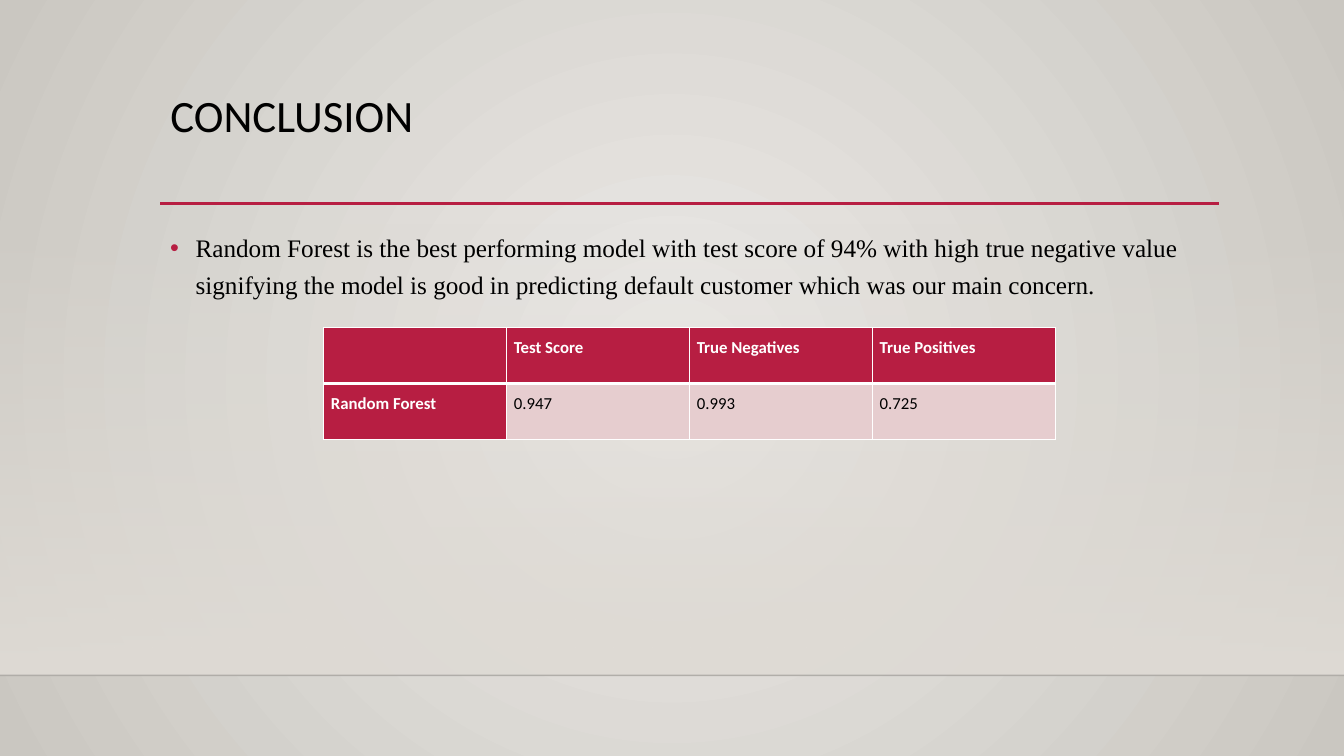
import pptx
import pptx.util
import pptx.dml.color
import pptx.enum.shapes
import pptx.enum.text
import pptx.oxml
import pptx.oxml.ns
from lxml import etree

Cm = pptx.util.Cm
Pt = pptx.util.Pt
RGBColor = pptx.dml.color.RGBColor
qn = pptx.oxml.ns.qn

TITLE = "CONCLUSION"
STATEMENT = (
    "Random Forest is the best performing model with test score of 94% "
    "with high true negative value signifying the model is good in "
    "predicting default customer which was our main concern."
)
SCORES = [
    ["", "Test Score", "True Negatives", "True Positives"],
    ["Random Forest", "0.947", "0.993", "0.725"],
]

CRIMSON = RGBColor(0xB7, 0x1E, 0x42)
PINK = RGBColor(0xE6, 0xCD, 0xCF)
WHITE = RGBColor(0xFF, 0xFF, 0xFF)
BLACK = RGBColor(0, 0, 0)
GLOW = RGBColor(0xEC, 0xEA, 0xE7)
EDGE = RGBColor(0xCA, 0xC7, 0xC1)
SAND = RGBColor(0xDF, 0xDB, 0xD5)

SLIDE_WIDTH, SLIDE_HEIGHT = Cm(33.87), Cm(19.05)
CONTENT_LEFT, CONTENT_WIDTH = Cm(4.04), Cm(26.67)
RULE_RIGHT, RULE_Y = Cm(30.73), Cm(5.13)
FLOOR_Y = Cm(17.02)
TABLE_LEFT, TABLE_TOP = Cm(8.15), Cm(8.25)
COLUMN_WIDTH, ROW_HEIGHT = Cm(4.61), Cm(1.41)


def set_gradient(fill, colors):
    fill.gradient()
    for stop, color in zip(fill.gradient_stops, colors):
        stop.color.rgb = color


def set_alpha(color_element, percent):
    etree.SubElement(color_element, qn("a:alpha")).set("val", str(percent * 1000))


def paint_background(slide):
    """Radial gradient, lightest at the centre of the slide."""
    set_gradient(slide.background.fill, [GLOW, EDGE])
    gradient = slide.background._cSld.find(".//" + qn("a:gradFill"))
    gradient.remove(gradient.find(qn("a:lin")))
    circle = etree.SubElement(gradient, qn("a:path"), path="circle")
    etree.SubElement(circle, qn("a:fillToRect"), l="50000", t="50000", r="50000", b="50000")


def add_wall(slide):
    """Band that fades in from clear at the top to sand at the floor line."""
    top = Cm(5.61)
    wall = slide.shapes.add_shape(
        pptx.enum.shapes.MSO_SHAPE.RECTANGLE, 0, top, SLIDE_WIDTH, FLOOR_Y - top)
    wall.shadow.inherit = False
    wall.line.fill.background()
    set_gradient(wall.fill, [SAND, SAND])
    wall.fill.gradient_angle = 270
    set_alpha(wall._element.find(".//" + qn("a:srgbClr")), 0)


def add_rule(slide, left, right, y, color, width):
    rule = slide.shapes.add_connector(
        pptx.enum.shapes.MSO_CONNECTOR.STRAIGHT, left, y, right, y)
    rule.line.color.rgb = color
    rule.line.width = Pt(width)
    etree.SubElement(rule._element.spPr, qn("a:effectLst"))
    return rule


def format_paragraph(paragraph, font_name, size, color, spacing, bold=False):
    paragraph.alignment = pptx.enum.text.PP_ALIGN.LEFT
    paragraph.line_spacing = spacing
    for run in paragraph.runs:
        run.font.name = font_name
        run.font.size = Pt(size)
        run.font.bold = bold
        run.font.color.rgb = color


def add_title(slide):
    title = slide.shapes.title
    title.left, title.top = CONTENT_LEFT, Cm(2.24)
    title.width, title.height = CONTENT_WIDTH, Cm(2.92)
    title.text_frame.text = TITLE
    title.text_frame.vertical_anchor = pptx.enum.text.MSO_ANCHOR.TOP
    format_paragraph(title.text_frame.paragraphs[0], "Calibri", 32, BLACK, 0.9)


def add_statement(slide):
    box = slide.shapes.add_textbox(CONTENT_LEFT, Cm(5.59), CONTENT_WIDTH, Cm(9.58))
    box.text_frame.word_wrap = True
    box.text_frame.text = STATEMENT
    paragraph = box.text_frame.paragraphs[0]
    format_paragraph(paragraph, "Times New Roman", 18, BLACK, 1.2)
    paragraph.space_before = Pt(10)
    properties = paragraph._p.get_or_add_pPr()
    indent = Cm(0.64)
    properties.set("marL", str(indent))
    properties.set("indent", str(-indent))
    bullet_color = etree.SubElement(properties, qn("a:buClr"))
    etree.SubElement(bullet_color, qn("a:srgbClr"), val=str(CRIMSON))
    etree.SubElement(properties, qn("a:buFont"), typeface="Arial")
    etree.SubElement(properties, qn("a:buChar"), char="•")


def set_borders(cell, widths):
    """White borders, widths in points for left, right, top and bottom."""
    properties = cell._tc.get_or_add_tcPr()
    for position, (side, width) in enumerate(zip("LRTB", widths)):
        border = etree.Element(qn("a:ln" + side), w=str(Pt(width)))
        solid = etree.SubElement(border, qn("a:solidFill"))
        etree.SubElement(solid, qn("a:srgbClr"), val=str(WHITE))
        properties.insert(position, border)


def add_scores(slide):
    rows, columns = len(SCORES), len(SCORES[0])
    table = slide.shapes.add_table(
        rows, columns, TABLE_LEFT, TABLE_TOP,
        COLUMN_WIDTH * columns, ROW_HEIGHT * rows).table
    table.first_col = True
    for column in table.columns:
        column.width = COLUMN_WIDTH
    for row_index, values in enumerate(SCORES):
        table.rows[row_index].height = ROW_HEIGHT
        for column_index, value in enumerate(values):
            cell = table.cell(row_index, column_index)
            is_header = row_index == 0 or column_index == 0
            cell.fill.solid()
            cell.fill.fore_color.rgb = CRIMSON if is_header else PINK
            set_borders(cell, (1, 1, 1, 3) if row_index == 0 else (1, 1, 3, 1))
            cell.margin_left = cell.margin_right = Cm(0.19)
            cell.margin_top = cell.margin_bottom = 0
            cell.text_frame.text = value
            paragraph = cell.text_frame.paragraphs[0]
            format_paragraph(paragraph, "Calibri", 12,
                             WHITE if is_header else BLACK, 1.5, is_header)
            paragraph.space_after = Pt(8)


def main():
    presentation = pptx.Presentation()
    presentation.slide_width, presentation.slide_height = SLIDE_WIDTH, SLIDE_HEIGHT
    slide = presentation.slides.add_slide(presentation.slide_layouts[5])
    paint_background(slide)
    add_wall(slide)
    floor = add_rule(slide, 0, SLIDE_WIDTH, FLOOR_Y, BLACK, 1)
    set_alpha(floor._element.find(".//" + qn("a:srgbClr")), 20)
    add_rule(slide, CONTENT_LEFT, RULE_RIGHT, RULE_Y, CRIMSON, 2.5)
    add_title(slide)
    add_statement(slide)
    add_scores(slide)
    presentation.save("out.pptx")


if __name__ == "__main__":
    main()
